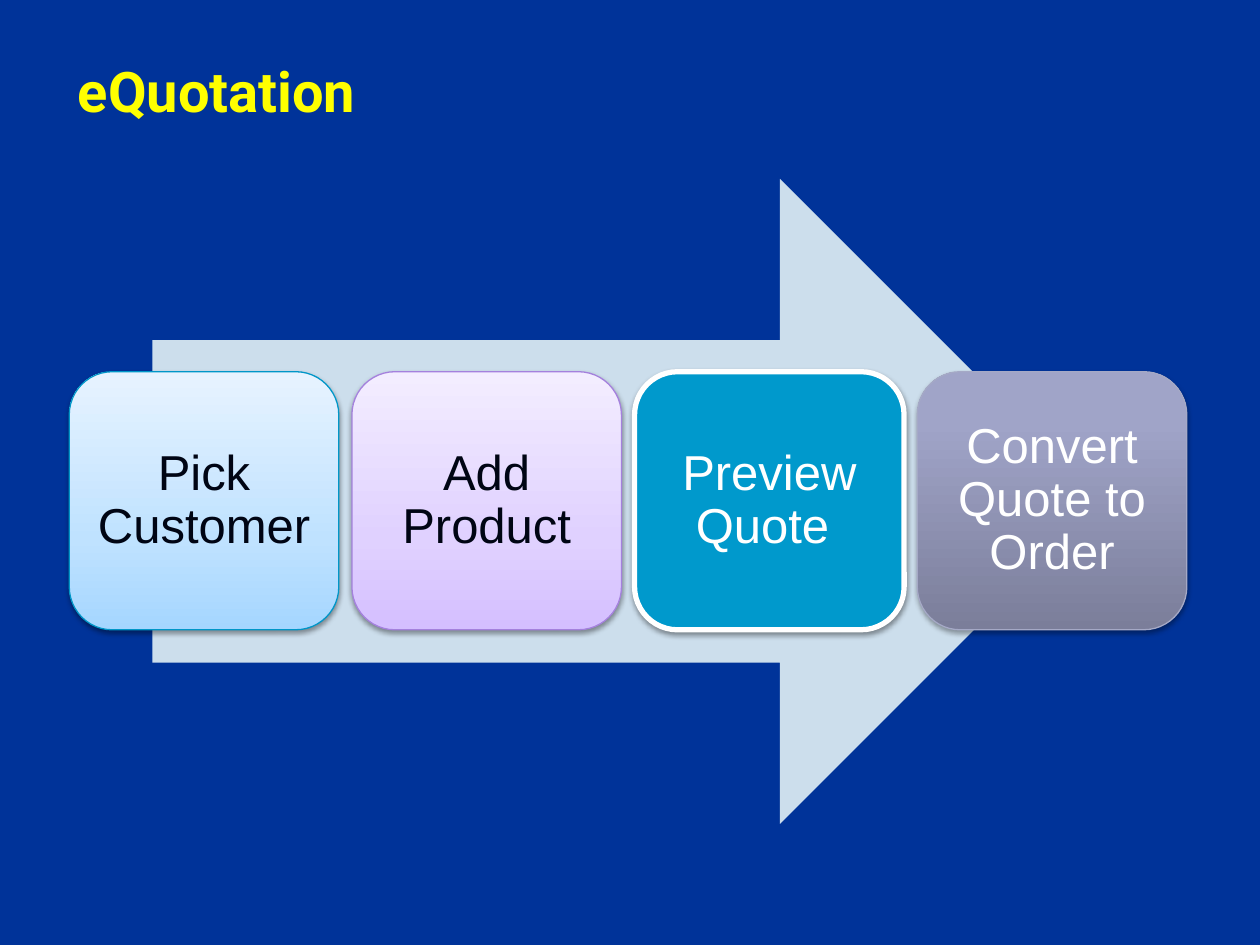
"""Build the eQuotation process slide."""
from copy import deepcopy

from lxml.etree import SubElement
from pptx import Presentation
from pptx.dml.color import RGBColor
from pptx.enum.shapes import MSO_SHAPE
from pptx.enum.text import MSO_ANCHOR, PP_ALIGN
from pptx.oxml.ns import qn
from pptx.util import Pt

TITLE = "eQuotation"
STEPS = [
    {"text": "Pick Customer", "color": "000514", "line": ("0096C8", 0.75),
     "fill": [(0, "A5D6FF"), (0.35, "BFE2FF"), (1, "E7F3FF")]},
    {"text": "Add Product", "color": "000514", "line": ("A481DD", 0.75),
     "fill": [(0, "D4BFFF"), (0.35, "E0D1FF"), (1, "F3EDFF")]},
    {"text": "Preview Quote ", "color": "FFFFFF", "line": ("FFFFFF", 3),
     "fill": "0099CC"},
    {"text": "Convert Quote to Order", "color": "FFFFFF", "line": ("A5A9C6", 0.75),
     "fill": [(0, "7B7E9A"), (0.8, "A0A4C8"), (1, "A0A4CA")],
     "shadow": {"opacity": 35, "distance": 1.8}},
]
THEME = {
    "background": "003399", "arrow": "CCDEEC", "title": "FFFF00", "shadow": "000000",
    "title_font": "Roboto", "body_font": "Arial", "title_size": 32, "body_size": 28,
}
SLIDE_SIZE = (720, 540)
TITLE_BOX = (37.4, 25.2, 643, 59)
ARROW_BOX = (87.1, 102.2, 542.9, 368.6)
CARDS_LEFT, CARDS_TOP, CARDS_WIDTH = 39.6, 212.4, 638.6
CARD_GAP, CARD_HEIGHT = 7.5, 147.5


def rgb(value):
    """Return a colour from its hexadecimal text."""
    return RGBColor.from_string(value)


def add_shadow(effects, opacity=38, blur=3.1, distance=1.6, direction=90):
    """Add an outer shadow to an effect list."""
    shadow = SubElement(effects, qn("a:outerShdw"), blurRad=str(Pt(blur)),
                        dist=str(Pt(distance)), dir=str(direction * 60000),
                        rotWithShape="0")
    color = SubElement(shadow, qn("a:srgbClr"), val=THEME["shadow"])
    SubElement(color, qn("a:alpha"), val=str(opacity * 1000))


def set_fill(shape, fill):
    """Fill a shape with one colour or with gradient stops rising from its base."""
    if isinstance(fill, str):
        shape.fill.solid()
        shape.fill.fore_color.rgb = rgb(fill)
        return
    shape.fill.gradient()
    shape.fill.gradient_angle = 90
    stop_list = shape._element.spPr.find(qn("a:gradFill")).find(qn("a:gsLst"))
    while len(stop_list) < len(fill):
        stop_list.append(deepcopy(stop_list[0]))
    for stop, (position, color) in zip(shape.fill.gradient_stops, fill):
        stop.position = position
        stop.color.rgb = rgb(color)


def add_box(slide, kind, box, fill, line=None):
    """Add a filled preset shape without shadow."""
    shape = slide.shapes.add_shape(kind, *map(Pt, box))
    shape.shadow.inherit = False
    set_fill(shape, fill)
    if line:
        shape.line.color.rgb = rgb(line[0])
        shape.line.width = Pt(line[1])
    else:
        shape.line.fill.background()
    return shape


def write_text(shape, text, *, font, size, color, bold=False,
               align=PP_ALIGN.LEFT, spacing=1.0, inset=None):
    """Write formatted text in a shape and return its run."""
    frame = shape.text_frame
    frame.word_wrap = True
    frame.vertical_anchor = MSO_ANCHOR.MIDDLE
    if inset is not None:
        frame.margin_left = frame.margin_right = Pt(inset)
        frame.margin_top = frame.margin_bottom = Pt(inset)
    paragraph = frame.paragraphs[0]
    paragraph.alignment = align
    paragraph.line_spacing = spacing
    run = paragraph.add_run()
    run.text = text
    run.font.name, run.font.size, run.font.bold = font, Pt(size), bold
    run.font.color.rgb = rgb(color)
    return run


def add_title(slide):
    """Add the title with its text shadow."""
    shape = slide.shapes.add_textbox(*map(Pt, TITLE_BOX))
    run = write_text(shape, TITLE, font=THEME["title_font"], size=THEME["title_size"],
                     color=THEME["title"], bold=True, spacing=0.85)
    properties = run._r.get_or_add_rPr()
    effects = SubElement(properties, qn("a:effectLst"))
    properties.find(qn("a:solidFill")).addnext(effects)
    add_shadow(effects, opacity=100, blur=0, distance=3, direction=45)


def add_cards(slide):
    """Add the step cards in one evenly spaced row."""
    width = (CARDS_WIDTH - CARD_GAP * (len(STEPS) - 1)) / len(STEPS)
    for index, step in enumerate(STEPS):
        left = CARDS_LEFT + index * (width + CARD_GAP)
        card = add_box(slide, MSO_SHAPE.ROUNDED_RECTANGLE,
                       (left, CARDS_TOP, width, CARD_HEIGHT), step["fill"], step["line"])
        add_shadow(card._element.spPr.find(qn("a:effectLst")), **step.get("shadow", {}))
        write_text(card, step["text"], font=THEME["body_font"], size=THEME["body_size"],
                   color=step["color"], align=PP_ALIGN.CENTER, spacing=0.9, inset=1.5)


def main():
    """Build and save the presentation."""
    presentation = Presentation()
    presentation.slide_width, presentation.slide_height = map(Pt, SLIDE_SIZE)
    slide = presentation.slides.add_slide(presentation.slide_layouts[6])
    slide.background.fill.solid()
    slide.background.fill.fore_color.rgb = rgb(THEME["background"])
    add_title(slide)
    add_box(slide, MSO_SHAPE.RIGHT_ARROW, ARROW_BOX, THEME["arrow"])
    add_cards(slide)
    presentation.save("out.pptx")


if __name__ == "__main__":
    main()
